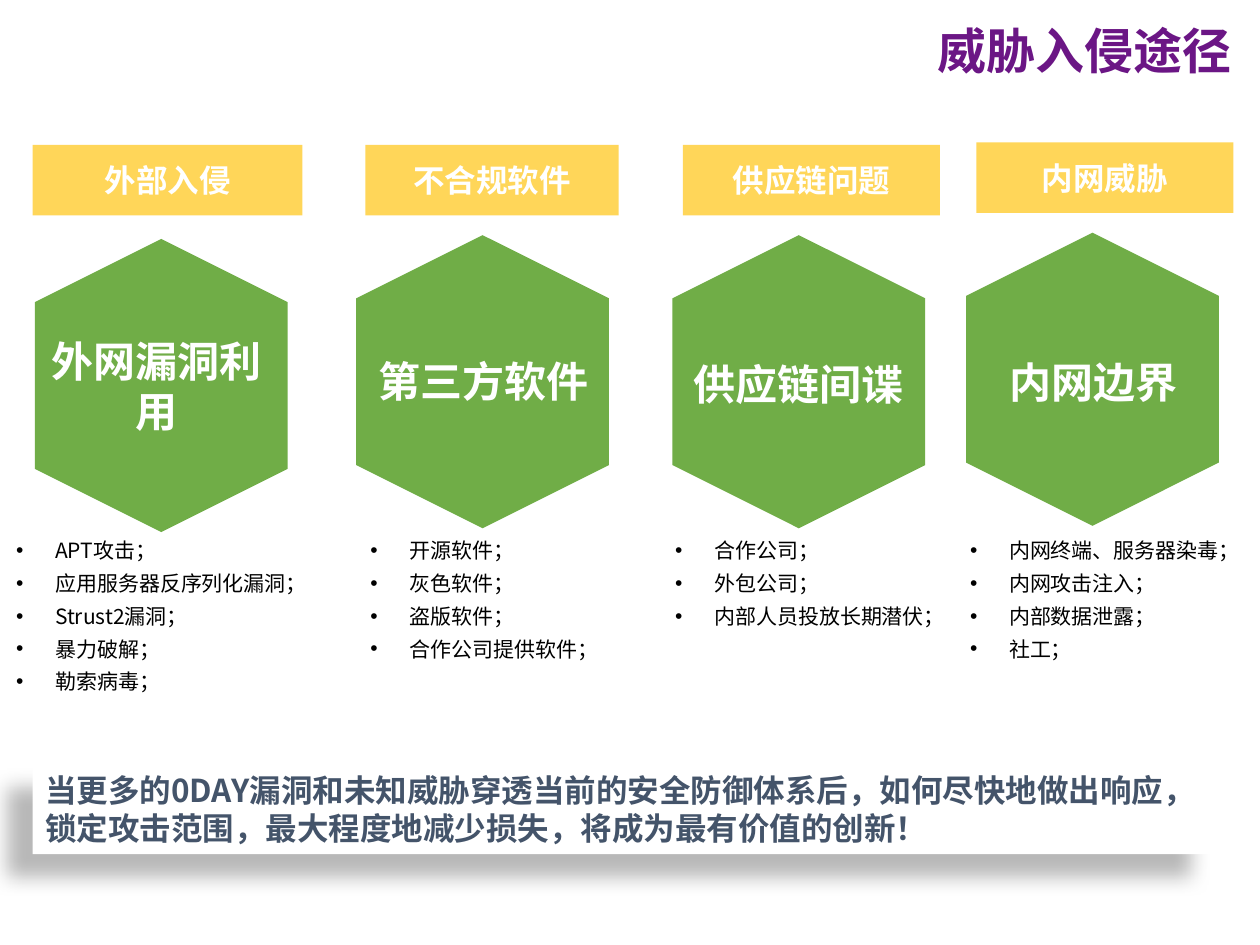
from lxml.etree import SubElement
from pptx import Presentation
from pptx.dml.color import RGBColor
from pptx.enum.shapes import MSO_SHAPE
from pptx.enum.text import MSO_ANCHOR, MSO_AUTO_SIZE, PP_ALIGN
from pptx.oxml.ns import qn
from pptx.util import Inches, Pt

FACE = "Noto Sans CJK SC"
HUES = {
    "title": "6B1685", "bar": "FFD659", "hex": "70AD47", "white": "FFFFFF",
    "black": "000000", "slate": "44546A",
}
LOOKS = {
    "title": {"size": Pt(28), "bold": True},
    "head": {"size": Pt(18), "bold": True},
    "label": {"size": Pt(24), "bold": True},
    "item": {"size": Pt(12), "bold": False},
}


def write(shape, lines, look, hue, align=PP_ALIGN.LEFT, bullet=False, **frame):
    """Fill a shape with one styled paragraph per line; frame holds text frame values."""
    body = shape.text_frame
    for key, value in {"word_wrap": True, **frame}.items():
        setattr(body, key, value)
    for i, line in enumerate(lines):
        para = body.add_paragraph() if i else body.paragraphs[0]
        para.alignment = align
        if bullet:
            props = para._p.get_or_add_pPr()
            props.set("marL", str(Inches(0.31)))
            props.set("indent", str(-Inches(0.31)))
            SubElement(props, qn("a:buFont"), typeface="Arial")
            SubElement(props, qn("a:buChar"), char="•")
            para.line_spacing = 1.3
        run = para.add_run()
        run.text = line
        for key, value in {"name": FACE, **LOOKS[look]}.items():
            setattr(run.font, key, value)
        run.font.color.rgb = RGBColor.from_string(HUES[hue])
        SubElement(run._r.get_or_add_rPr(), qn("a:ea"), typeface=FACE)


def draw(kind, place, hue):
    """Add a plain filled shape without line or shadow."""
    shape = slide.shapes.add_shape(kind, *map(Inches, place))
    shape.shadow.inherit = False
    shape.fill.solid()
    shape.fill.fore_color.rgb = RGBColor.from_string(HUES[hue])
    shape.line.fill.background()
    return shape


deck = Presentation()
deck.slide_width, deck.slide_height = Inches(10), Inches(7.5)
slide = deck.slides.add_slide(deck.slide_layouts[6])
grow = {"auto_size": MSO_AUTO_SIZE.SHAPE_TO_FIT_TEXT}

title = slide.shapes.add_textbox(*map(Inches, (1.46, 0.08, 8.41, 0.64)))
write(title, ["威胁入侵途径"], "title", "title", PP_ALIGN.RIGHT,
      vertical_anchor=MSO_ANCHOR.MIDDLE, margin_left=0)

# bar, hexagon, label and list: each with its place, then the wording
columns = [
    ((0.26, 1.15, 2.14, 0.56), (0.21, 2.14), (0.26, 2.61, 1.97, 0.9),
     (0.03, 4.16, 3.5, 1.39), "外部入侵", "外网漏洞利用",
     ["APT攻击；", "应用服务器反序列化漏洞；", "Strust2漏洞；", "暴力破解；", "勒索病毒；"]),
    ((2.9, 1.15, 2.01, 0.56), (2.76, 2.11), (2.85, 2.77, 1.97, 0.5),
     (2.84, 4.16, 2.69, 1.39), "不合规软件", "第三方软件",
     ["开源软件；", "灰色软件；", "盗版软件；", "合作公司提供软件；"]),
    ((5.42, 1.15, 2.04, 0.56), (5.27, 2.11), (5.35, 2.8, 1.97, 0.5),
     (5.26, 4.16, 2.38, 0.86), "供应链问题", "供应链间谍",
     ["合作公司；", "外包公司；", "内部人员投放长期潜伏；"]),
    ((7.75, 1.13, 2.04, 0.56), (7.6, 2.09), (7.69, 2.78, 1.97, 0.5),
     (7.6, 4.16, 2.38, 1.39), "内网威胁", "内网边界",
     ["内网终端、服务器染毒；", "内网攻击注入；", "内部数据泄露；", "社工；"]),
]
for bar_at, hex_at, label_at, list_at, head, label, items in columns:
    bar = draw(MSO_SHAPE.RECTANGLE, bar_at, "bar")
    write(bar, [head], "head", "white", PP_ALIGN.CENTER,
          vertical_anchor=MSO_ANCHOR.MIDDLE)

    cell = draw(MSO_SHAPE.HEXAGON, (*hex_at, 2.14, 1.84), "hex")
    cell.rotation = 90
    cell.line.color.rgb = RGBColor.from_string(HUES["hex"])
    cell.line.width = Pt(12)
    SubElement(cell.line._get_or_add_ln(), qn("a:miter"), lim="800000")

    box = slide.shapes.add_textbox(*map(Inches, label_at))
    write(box, [label], "label", "white", PP_ALIGN.CENTER, **grow)
    box = slide.shapes.add_textbox(*map(Inches, list_at))
    write(box, items, "item", "black", bullet=True, **grow)

note = draw(MSO_SHAPE.RECTANGLE, (0.26, 6.07, 9.4, 0.71), "white")
effects = note._element.spPr.find(qn("a:effectLst"))
shade = SubElement(effects, qn("a:outerShdw"), blurRad=str(Pt(11.8)),
                   dist=str(Pt(19.7)), dir=str(141 * 60000),
                   algn="ctr", rotWithShape="0")
tint = SubElement(shade, qn("a:srgbClr"), val=HUES["black"])
SubElement(tint, qn("a:alpha"), val="28000")
write(note, ["当更多的0DAY漏洞和未知威胁穿透当前的安全防御体系后，如何尽快地做出响应，"
             "锁定攻击范围，最大程度地减少损失，将成为最有价值的创新！"],
      "head", "slate", vertical_anchor=MSO_ANCHOR.TOP, **grow)

deck.save("out.pptx")
